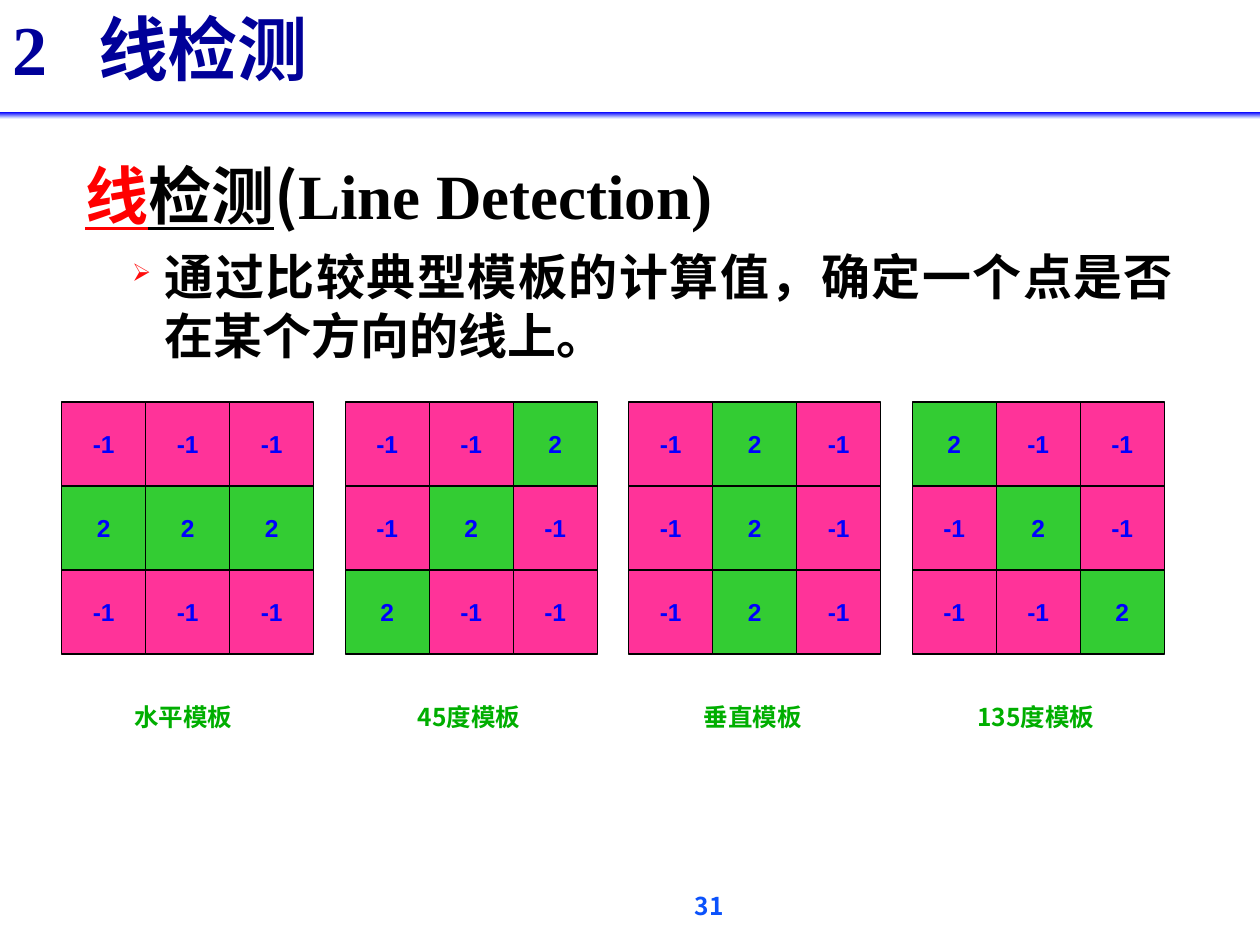
from lxml import etree
from pptx import Presentation
from pptx.dml.color import RGBColor
from pptx.enum.shapes import MSO_SHAPE
from pptx.enum.text import MSO_ANCHOR, PP_ALIGN
from pptx.oxml.ns import qn
from pptx.util import Inches, Pt

RECTANGLE = MSO_SHAPE.RECTANGLE
CENTER, JUSTIFY, LEFT = PP_ALIGN.CENTER, PP_ALIGN.JUSTIFY, PP_ALIGN.LEFT
TOP, MIDDLE, BOTTOM = MSO_ANCHOR.TOP, MSO_ANCHOR.MIDDLE, MSO_ANCHOR.BOTTOM

CJK, SERIF, SANS = "Noto Sans CJK SC", "Times New Roman", "Arial"
COLORS = {
    "title": "000099", "keyword": "FF0000", "body": "000000",
    "bullet": "FF0C0C", "caption": "00AE00", "number": "0B52FC",
    "weight": "0000FF", "-1": "FF3399", "2": "33CC33", "border": "000000",
}
RULE_STOPS = [(0, "0000FF"), (89, "CCD6FF"), (100, "E6EBFF")]
TEMPLATES = [
    ("水平模板", 0.69, 1.53, ["-1 -1 -1", "2 2 2", "-1 -1 -1"]),
    ("45度模板", 2.96, 1.53, ["-1 -1 2", "-1 2 -1", "2 -1 -1"]),
    ("垂直模板", 5.21, 1.53, ["-1 2 -1", "-1 2 -1", "-1 2 -1"]),
    ("135度模板", 7.37, 1.7, ["2 -1 -1", "-1 2 -1", "-1 -1 2"]),
]
GRID_LEFT, GRID_TOP, GRID_STEP = Inches(0.49), Inches(3.19), Inches(2.25)
CELL = Inches(2) // 3


def color(name):
    return RGBColor.from_string(COLORS[name])


def apply_format(target, values):
    for name, value in values.items():
        setattr(target, name, value)


def add_run(paragraph, text, size, typeface, color_name, underline=None):
    run = paragraph.add_run()
    run.text = text
    apply_format(run.font, {"size": Pt(size), "name": typeface,
                            "bold": True, "underline": underline})
    run.font.color.rgb = color(color_name)
    east_asian = etree.SubElement(run._r.get_or_add_rPr(), qn("a:ea"))
    east_asian.set("typeface", typeface)


def add_text_box(shapes, left, top, width, height, anchor=TOP, wrap=True):
    box = shapes.add_textbox(Inches(left), Inches(top), Inches(width), Inches(height))
    apply_format(box.text_frame, {"word_wrap": wrap, "vertical_anchor": anchor})
    return box.text_frame


def set_indent(paragraph, margin, hanging):
    properties = paragraph._p.get_or_add_pPr()
    properties.set("marL", str(Inches(margin)))
    properties.set("indent", str(-Inches(hanging)))
    return properties


def add_bullet(properties, symbol, percent):
    bullet_color = etree.SubElement(properties, qn("a:buClr"))
    etree.SubElement(bullet_color, qn("a:srgbClr")).set("val", COLORS["bullet"])
    etree.SubElement(properties, qn("a:buSzPct")).set("val", str(percent * 1000))
    etree.SubElement(properties, qn("a:buChar")).set("char", symbol)


def add_tab_stop(paragraph, position):
    tabs = etree.SubElement(paragraph._p.get_or_add_pPr(), qn("a:tabLst"))
    tab = etree.SubElement(tabs, qn("a:tab"))
    tab.set("pos", str(Inches(position)))
    tab.set("algn", "l")


def add_rule(slide):
    rule = slide.shapes.add_shape(RECTANGLE, 0, Inches(0.89), Inches(10), Inches(0.05))
    rule.shadow.inherit = False
    rule.line.fill.background()
    rule.fill.gradient()
    rule.fill.gradient_angle = 270
    stops = rule._element.spPr.find(qn("a:gradFill")).find(qn("a:gsLst"))
    for stop in list(stops):
        stops.remove(stop)
    for position, value in RULE_STOPS:
        stop = etree.SubElement(stops, qn("a:gs"))
        stop.set("pos", str(position * 1000))
        etree.SubElement(stop, qn("a:srgbClr")).set("val", value)


def add_title(slide):
    frame = add_text_box(slide.shapes, 0, 0.07, 10, 0.7, BOTTOM)
    paragraph = frame.paragraphs[0]
    apply_format(paragraph, {"alignment": LEFT, "line_spacing": 0.9})
    add_tab_stop(paragraph, 0.68)
    add_run(paragraph, "2\t", 40, SERIF, "title")
    add_run(paragraph, "线检测", 40, CJK, "title")


def add_body(slide):
    frame = add_text_box(slide.shapes, 0.58, 1.19, 8.83, 1.83)
    heading = frame.paragraphs[0]
    heading.alignment = JUSTIFY
    set_indent(heading, 0.25, 0.25)
    add_run(heading, "线", 36, CJK, "keyword", True)
    add_run(heading, "检测", 36, CJK, "body", True)
    add_run(heading, "(", 36, CJK, "body")
    add_run(heading, "Line Detection)", 36, SERIF, "body")

    point = frame.add_paragraph()
    apply_format(point, {"alignment": JUSTIFY, "level": 1, "space_before": Pt(8.4)})
    add_bullet(set_indent(point, 0.63, 0.26), "➢", 50)
    add_run(point, "通过比较典型模板的计算值，确定一个点是否在某个方向的线上。", 28, CJK, "body")


def add_cell(shapes, left, top, weight):
    cell = shapes.add_shape(RECTANGLE, left, top, CELL, CELL)
    cell.shadow.inherit = False
    cell.fill.solid()
    cell.fill.fore_color.rgb = color(weight)
    cell.line.color.rgb = color("border")
    cell.line.width = Pt(0.75)
    apply_format(cell.text_frame, {"word_wrap": False, "vertical_anchor": MIDDLE})
    paragraph = cell.text_frame.paragraphs[0]
    paragraph.alignment = CENTER
    add_run(paragraph, weight, 14, SANS, "weight")


def add_template(slide, index, caption, caption_left, caption_width, rows):
    shapes = slide.shapes.add_group_shape().shapes
    left = GRID_LEFT + index * GRID_STEP
    for row, weights in enumerate(rows):
        for column, weight in enumerate(weights.split()):
            add_cell(shapes, left + column * CELL, GRID_TOP + row * CELL, weight)
    frame = add_text_box(shapes, caption_left, 5.52, caption_width, 0.5, wrap=False)
    paragraph = frame.paragraphs[0]
    paragraph.alignment = CENTER
    add_run(paragraph, caption, 14, CJK, "caption")


def add_slide_number(slide):
    frame = add_text_box(slide.shapes, 3.1, 7.07, 5.06, 0.3)
    paragraph = frame.paragraphs[0]
    apply_format(paragraph, {"alignment": CENTER, "line_spacing": 0.8})
    set_indent(paragraph, 0.25, 0.25)
    add_run(paragraph, "31", 14, CJK, "number")


def main():
    presentation = Presentation()
    apply_format(presentation, {"slide_width": Inches(10), "slide_height": Inches(7.5)})
    slide = presentation.slides.add_slide(presentation.slide_layouts[6])
    add_slide_number(slide)
    add_rule(slide)
    add_title(slide)
    add_body(slide)
    for index, template in enumerate(TEMPLATES):
        add_template(slide, index, *template)
    presentation.save("out.pptx")


if __name__ == "__main__":
    main()
